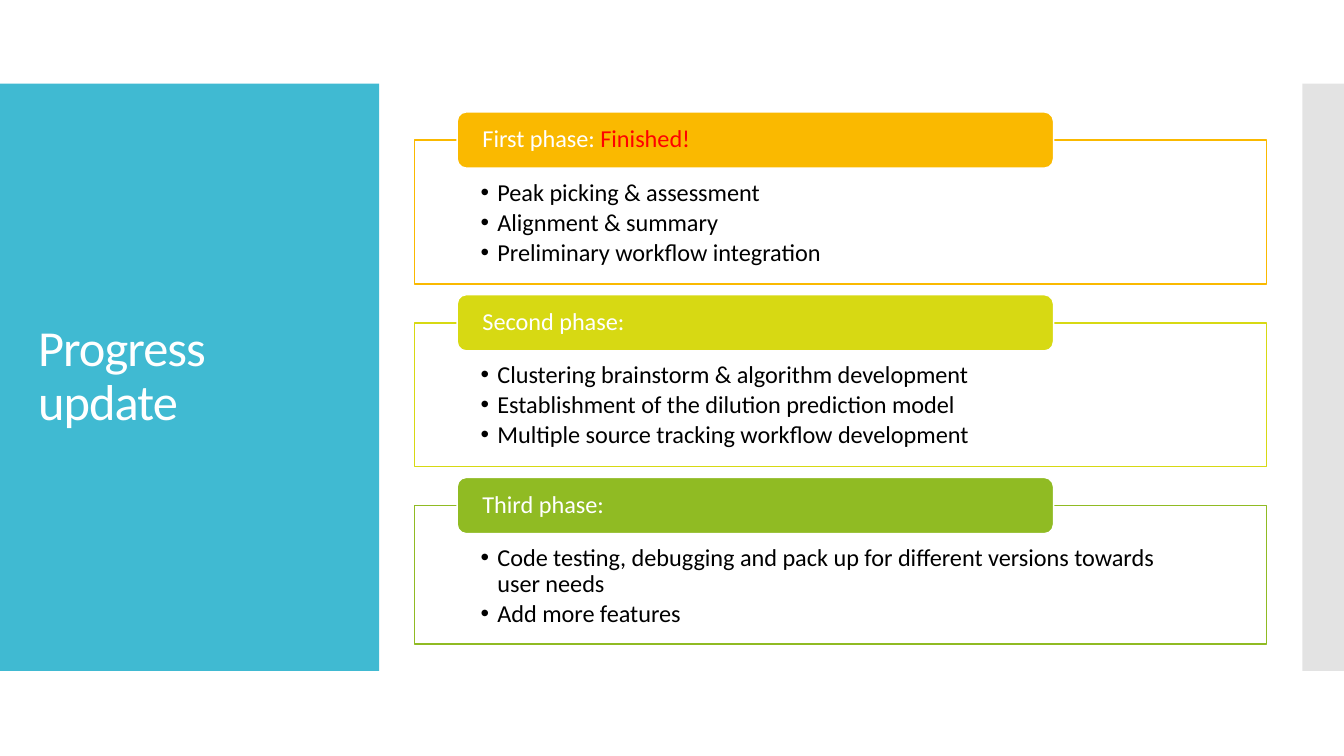
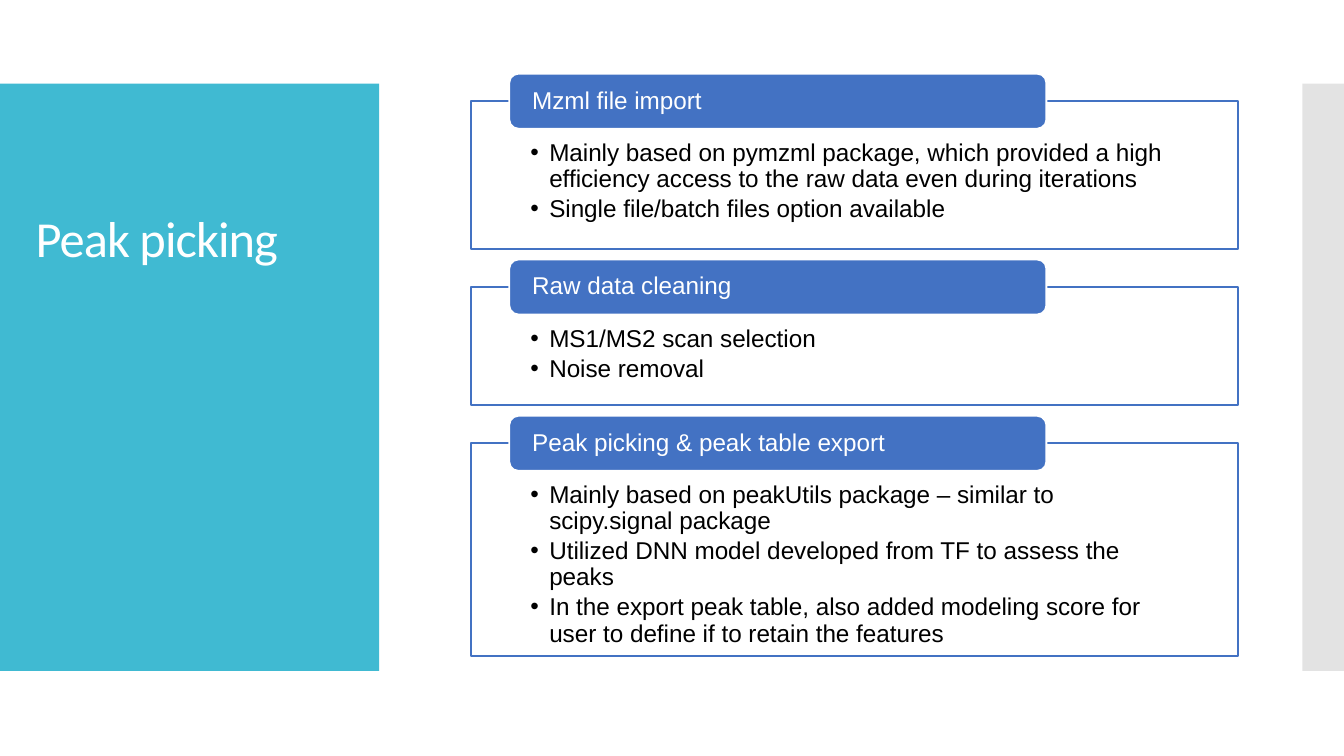
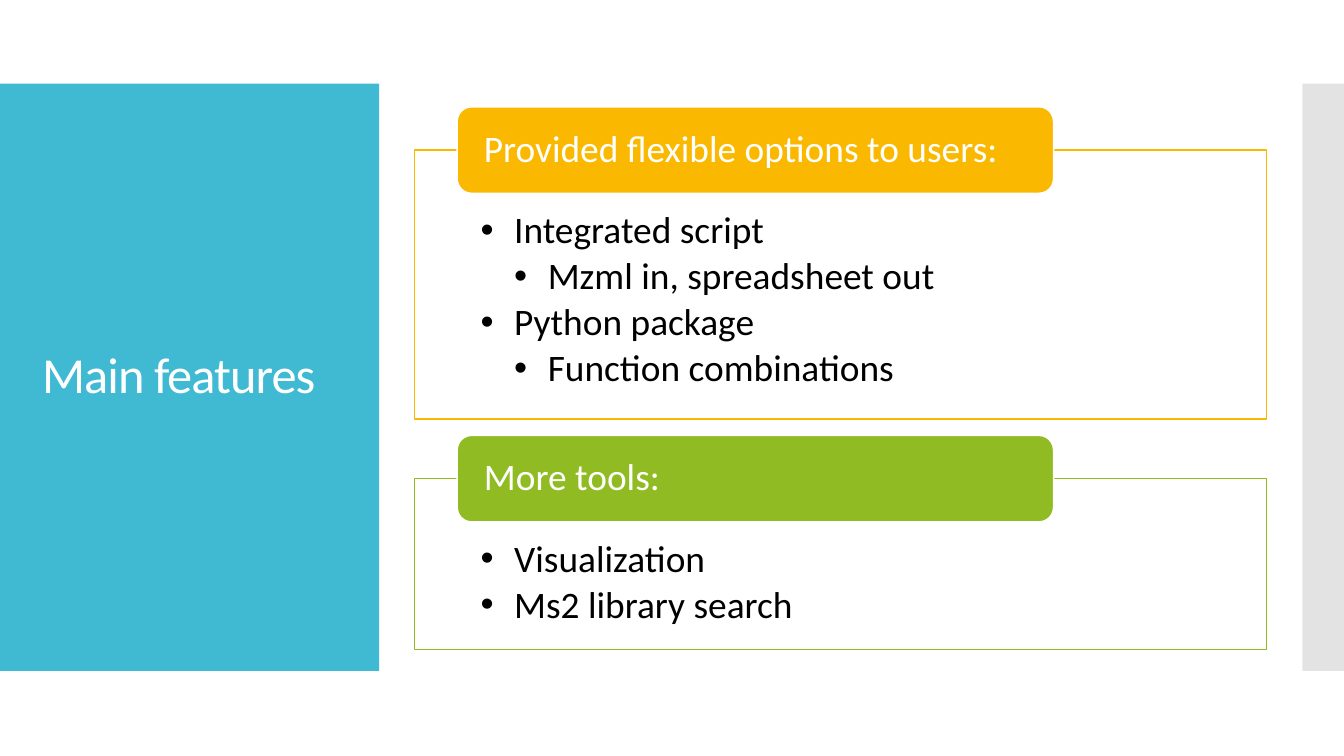
from collections import namedtuple

from lxml.etree import SubElement
from pptx import Presentation
from pptx.dml.color import RGBColor
from pptx.enum.shapes import MSO_SHAPE
from pptx.enum.text import MSO_ANCHOR, MSO_AUTO_SIZE, PP_ALIGN
from pptx.oxml.ns import qn
from pptx.util import Inches, Pt

# The grid has 100 columns across the slide; its cells are square.
COLUMNS, ROWS = 100, 56.25
CELL = Inches(10) / COLUMNS

TEAL, GREY, WHITE, BLACK, RED = "40BAD2", "C8C8C8", "FFFFFF", "000000", "FF0000"
AMBER, LIME, GREEN, BLUE = "FAB900", "D7D913", "90BB23", "4372C3"

Box = namedtuple("Box", "left top width height")
Card = namedtuple("Card", "color rows heading points")
Style = namedtuple("Style", "font size header_rows indent hanging foot outline")

TITLE_BAND = Box(0, 6.23, 28.22, 43.7)
EDGE_BAND = Box(96.9, 6.23, 3.1, 43.7)
TITLE_BOX = Box(2.13, 9.23, 24.2, 37.7)


def cells(count):
    """Turn a number of grid cells into a length."""
    return round(count * CELL)


def color(hex_string):
    """Turn a hex string into a colour."""
    return RGBColor.from_string(hex_string)


def add_block(shapes, kind, box, fill, opacity=100, outline=None, weight=1):
    """Add a flat preset shape with the given fill and outline."""
    block = shapes.add_shape(kind, *map(cells, box))
    block.shadow.inherit = False
    block.fill.solid()
    block.fill.fore_color.rgb = color(fill)
    if opacity < 100:
        tint = block.element.spPr.find(qn("a:solidFill"))[0]
        SubElement(tint, qn("a:alpha"), val=str(opacity * 1000))
    if outline:
        block.line.color.rgb = color(outline)
        block.line.width = Pt(weight)
    else:
        block.line.fill.background()
    return block


def set_frame(frame, anchor, left, top=0, bottom=0):
    """Set wrapping, anchor and insets, in cells, of a text frame."""
    frame.word_wrap = True
    frame.auto_size = MSO_AUTO_SIZE.NONE
    frame.vertical_anchor = anchor
    frame.margin_left = frame.margin_right = cells(left)
    frame.margin_top, frame.margin_bottom = cells(top), cells(bottom)


def write(paragraph, text, font, size, ink, tracking=None):
    """Add one formatted run to a left-aligned paragraph."""
    paragraph.alignment = PP_ALIGN.LEFT
    paragraph.line_spacing = 0.9
    run = paragraph.add_run()
    run.text = text
    run.font.name, run.font.size = font, Pt(size)
    run.font.color.rgb = color(ink)
    if tracking:
        run.font._element.set("spc", str(round(tracking * 100)))


def add_bullet(paragraph, level, style):
    """Give a list paragraph its bullet, indent and spacing."""
    paragraph.level = level
    paragraph.space_before = Pt(0)
    paragraph.space_after = Pt(round(style.size * 0.15))
    properties = paragraph._p.get_or_add_pPr()
    properties.set("marL", str(cells(style.indent * level)))
    properties.set("indent", str(-cells(style.hanging)))
    SubElement(properties, qn("a:buFont"), typeface="Arial")
    SubElement(properties, qn("a:buChar"), char="\u2022")


def share_bands(layout, slide):
    """Put the two side bands into the layout that all slides use."""
    for placeholder in list(layout.placeholders):
        if placeholder.placeholder_format.idx:
            placeholder.element.getparent().remove(placeholder.element)
    for box, fill, opacity in ((TITLE_BAND, TEAL, 100), (EDGE_BAND, GREY, 50)):
        band = add_block(slide.shapes, MSO_SHAPE.RECTANGLE, box, fill, opacity)
        layout.shapes.element.insert(2, band.element)


def set_title(slide, text, box=TITLE_BOX, anchor=MSO_ANCHOR.MIDDLE, inset=0.7):
    """Place and fill the title placeholder over the teal band."""
    title = slide.shapes.title
    title.left, title.top, title.width, title.height = map(cells, box)
    set_frame(title.text_frame, anchor, inset, inset / 2, inset / 2)
    write(title.text_frame.paragraphs[0], text, "Calibri", 27, WHITE, tracking=-0.5)


def add_card(shapes, box, card, style):
    """Draw a framed list with a header tab across its top edge."""
    panel = add_block(shapes, MSO_SHAPE.RECTANGLE, box, WHITE, 90,
                      card.color, style.outline)
    frame = panel.text_frame
    set_frame(frame, MSO_ANCHOR.TOP, box.width * 0.0776,
              style.header_rows * 0.71, style.foot)
    for number, (level, text) in enumerate(card.points):
        paragraph = frame.add_paragraph() if number else frame.paragraphs[0]
        write(paragraph, text, style.font, style.size, BLACK)
        add_bullet(paragraph, level, style)

    header_box = Box(box.left + box.width * 0.05, box.top - style.header_rows / 2,
                     box.width * 0.7, style.header_rows)
    header = add_block(shapes, MSO_SHAPE.ROUNDED_RECTANGLE, header_box, card.color,
                       outline=WHITE, weight=style.outline)
    set_frame(header.text_frame, MSO_ANCHOR.MIDDLE, box.width * 0.0265)
    for text, ink in card.heading:
        write(header.text_frame.paragraphs[0], text, style.font, style.size, ink)


def add_card_stack(slide, left, top, width, cards, style):
    """Stack cards downwards with a gap that follows the header height."""
    stack = slide.shapes.add_group_shape().shapes
    for card in cards:
        add_card(stack, Box(left, top, width, card.rows), card, style)
        top += card.rows + style.header_rows * 0.69


def make_card(fill, rows, heading, *points, note=None):
    """Describe a card; a point is a text or a (level, text) pair."""
    runs = [(heading, WHITE)] + ([(note, RED)] if note else [])
    levels = [(1, point) if isinstance(point, str) else point for point in points]
    return Card(fill, rows, runs, levels)


PHASE_STYLE = Style("Calibri", 13, 4.2, 1.25, 1.25, 1, 0.85)
STEP_STYLE = Style("Arial", 13, 4.1, 1.4, 1.5, 1, 1)
FEATURE_STYLE = Style("Calibri", 20, 6.45, 2.5, 2.5, 1.6, 0.85)

PHASES = [
    make_card(AMBER, 10.7, "First phase: ", "Peak picking & assessment",
              "Alignment & summary", "Preliminary workflow integration",
              note="Finished!"),
    make_card(LIME, 10.7, "Second phase:",
              "Clustering brainstorm & algorithm development",
              "Establishment of the dilution prediction model",
              "Multiple source tracking workflow development"),
    make_card(GREEN, 10.3, "Third phase:",
              "Code testing, debugging and pack up for different versions "
              "towards user needs", "Add more features"),
]
STEPS = [
    make_card(BLUE, 11, "Mzml file import",
              "Mainly based on pymzml package, which provided a high efficiency "
              "access to the raw data even during iterations",
              "Single file/batch files option available"),
    make_card(BLUE, 8.8, "Raw data cleaning", "MS1/MS2 scan selection",
              "Noise removal"),
    make_card(BLUE, 15.8, "Peak picking & peak table export",
              "Mainly based on peakUtils package \u2013 similar to scipy.signal package",
              "Utilized DNN model developed from TF to assess the peaks",
              "In the export peak table, also added modeling score for user to "
              "define if to retain the features"),
]
FEATURES = [
    make_card(AMBER, 20, "Provided flexible options to users:",
              "Integrated script", (2, "Mzml in, spreadsheet out"),
              "Python package", (2, "Function combinations")),
    make_card(GREEN, 12.7, "More tools:", "Visualization", "Ms2 library search"),
]


def build():
    """Build the three slides and save the deck."""
    deck = Presentation()
    deck.slide_width, deck.slide_height = cells(COLUMNS), cells(ROWS)
    layout = deck.slide_layouts.get_by_name("Title Only")
    progress, picking, features = [deck.slides.add_slide(layout) for _ in range(3)]
    share_bands(layout, progress)

    set_title(progress, "Progress update")
    add_card_stack(progress, 30.84, 10.42, 63.4, PHASES, PHASE_STYLE)

    set_title(picking, "Peak picking", Box(1.95, 15.6, 25.5, 28.9), MSO_ANCHOR.TOP)
    add_card_stack(picking, 35.04, 7.53, 57.1, STEPS, STEP_STYLE)

    set_title(features, "Main features", inset=1)
    add_card_stack(features, 30.84, 11.17, 63.4, FEATURES, FEATURE_STYLE)

    deck.save("out.pptx")


build()
